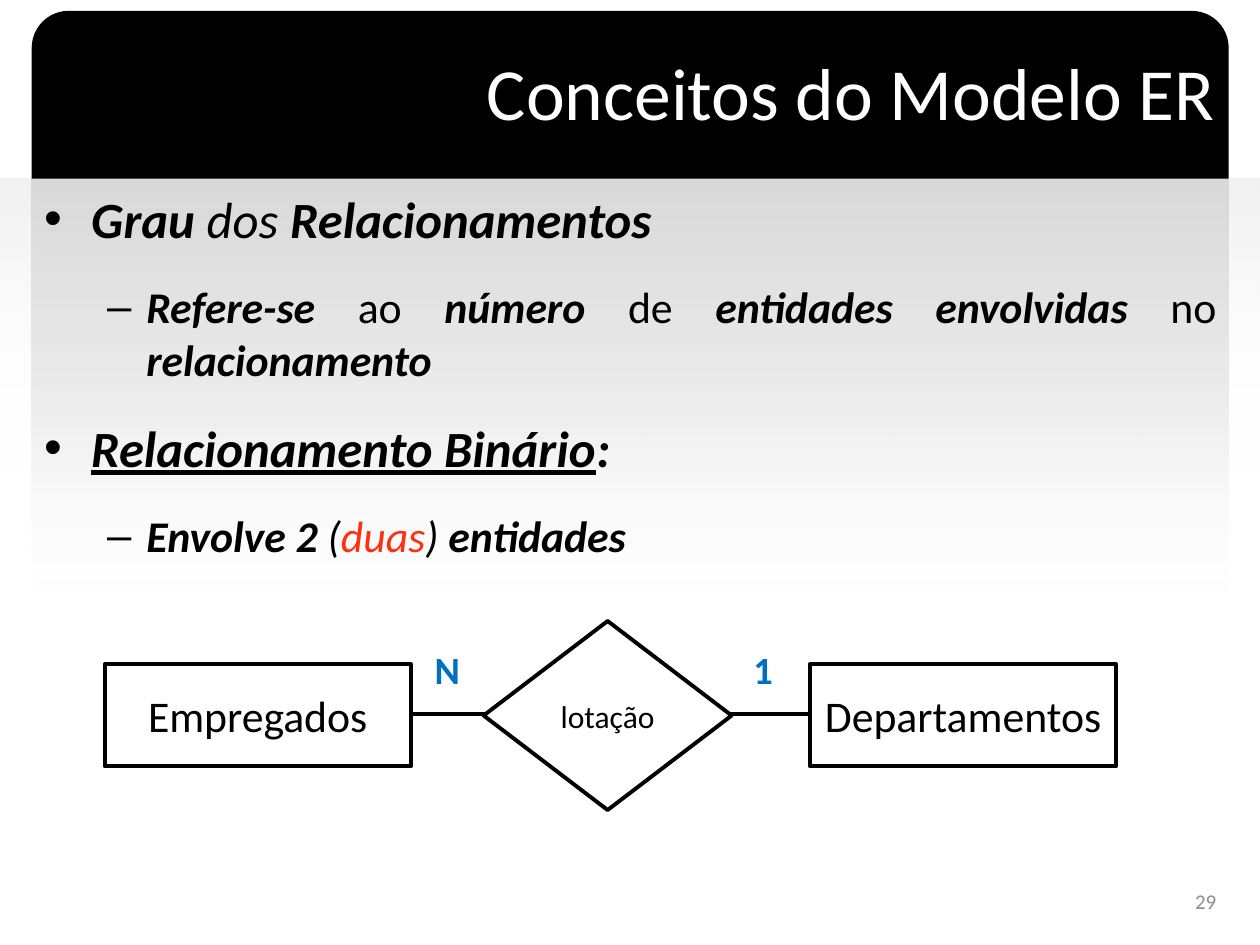
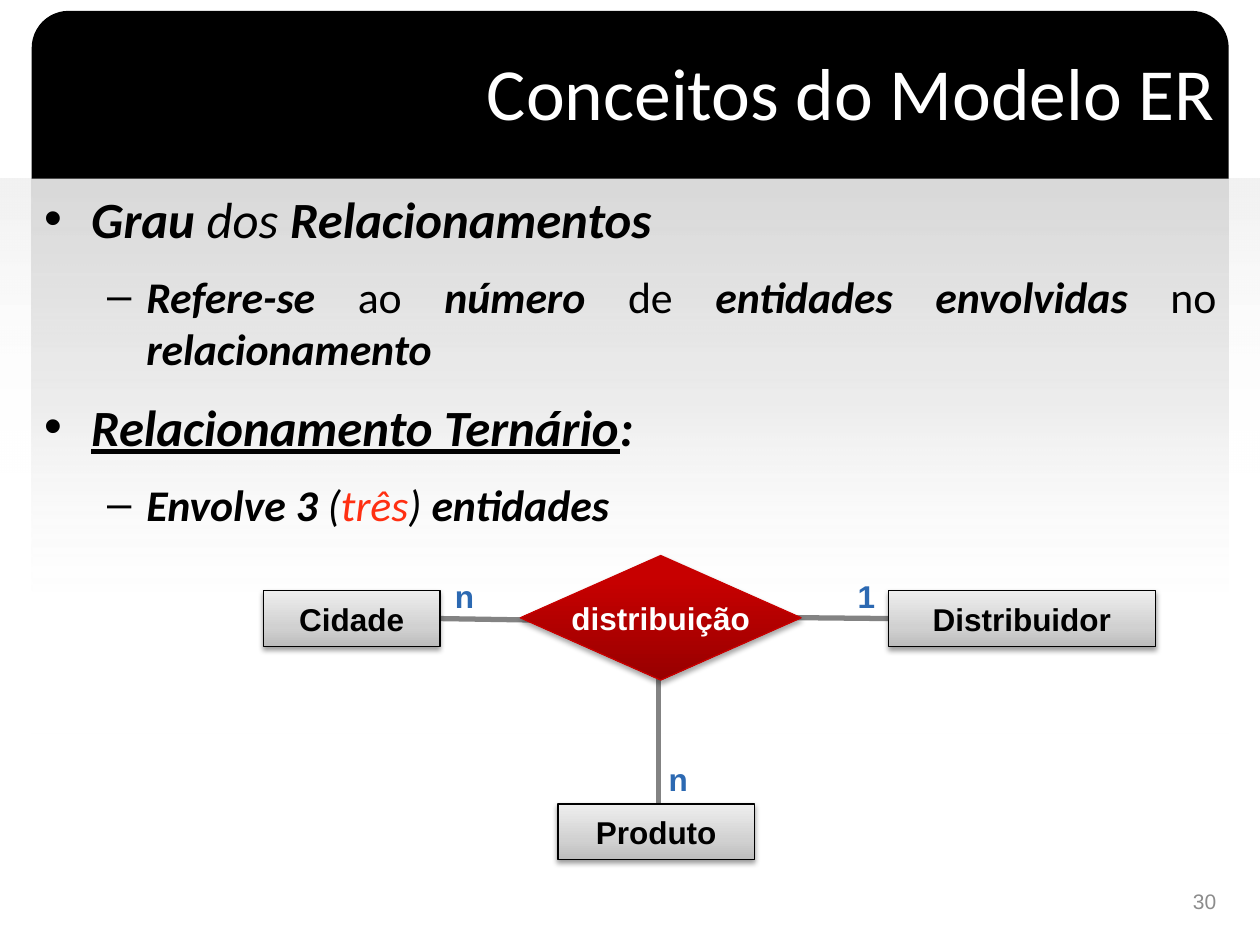
from typing import NamedTuple

from lxml.etree import SubElement
from pptx import Presentation
from pptx.dml.color import RGBColor
from pptx.enum.shapes import MSO_CONNECTOR, MSO_SHAPE as Form
from pptx.enum.text import MSO_ANCHOR as Anchor, PP_ALIGN as Align
from pptx.oxml.ns import qn
from pptx.util import Cm, Pt

BLACK, WHITE, GRAY, RED = "000000", "FFFFFF", "8C8C8C", "FF2F12"
SANS, ARIAL = "Calibri", "Arial"


class Area(NamedTuple):
    left: float
    top: float
    width: float
    height: float


class Stop(NamedTuple):
    pos: int
    color: str
    alpha: int = 100


class Shade(NamedTuple):
    """Outer shadow that falls straight down; lengths in points."""
    alpha: int
    blur: float
    dist: float


class Look(NamedTuple):
    """Format shared by the nodes of one kind."""
    fill: list[Stop] | str | None
    edge: str
    weight: float
    font: str
    size: int
    color: str = BLACK
    bold: bool = False
    shade: Shade | None = None


class Node(NamedTuple):
    text: str
    area: Area
    look: Look
    form: Form = Form.RECTANGLE


class Label(NamedTuple):
    text: str
    area: Area


class Link(NamedTuple):
    x1: float
    y1: float
    x2: float
    y2: float


class Run(NamedTuple):
    text: str
    bold: bool = True
    ital: bool = True
    under: bool = False
    color: str = BLACK


class Level(NamedTuple):
    mark: str
    left: float
    hang: float
    size: int


class Page(NamedTuple):
    number: int
    num_font: str
    after: int
    kind: str
    count: str
    word: str
    nodes: list[Node]
    labels: list[Label]
    links: list[Link]
    label_look: Look
    link_color: str
    link_weight: float


TOP = Level("•", 0.95, 0.95, 29)
SUB = Level("–", 2.06, 0.79, 25)

BAND = Area(0.64, 0.22, 24.13, 3.38)
TITLE = Area(0.64, 0.25, 24.1, 3.18)
BODY = Area(0.64, 3.66, 24.13, 13.74)
NUMBER = Area(18.85, 17.65, 5.92, 1.02)
WASHES = [
    (Area(0, 3.6, 25.4, 5.92), [Stop(0, "F2F2F2"), Stop(100, WHITE, 0)]),
    (Area(0.64, 3.6, 24.13, 11.23),
     [Stop(0, "D9D9D9"), Stop(40, "DFDFDF", 55), Stop(78, WHITE, 10), Stop(100, WHITE, 0)]),
]

PLAIN = Look(None, BLACK, 2.25, SANS, 25)
ROMB = PLAIN._replace(fill=WHITE, size=18)
SILVER = Look([Stop(0, "EEEEEE"), Stop(65, "D1D1D1"), Stop(100, "BDBDBD")], BLACK, 0.75,
              ARIAL, 18, bold=True, shade=Shade(38, 3.1, 1.6))
RUBY = Look([Stop(0, "C70000"), Stop(20, "C60000"), Stop(100, "980000")], "C80000", 0.75,
            ARIAL, 18, WHITE, True, Shade(35, 3.1, 1.8))
BLUE = Look(None, "", 0, SANS, 22, "0070C0", True)
NAVY = Look(None, "", 0, ARIAL, 18, "2C69B2", True)

ROW, HIGH, ROW2, HIGH2 = 13.39, 2.06, 11.91, 1.12

PAGES = [
    Page(29, SANS, 12, "Binário", "2", "duas",
         [Node("Empregados", Area(2.11, ROW, 6.17, HIGH), PLAIN),
          Node("Departamentos", Area(16.33, ROW, 6.17, HIGH), PLAIN),
          Node("lotação", Area(9.75, 12.52, 5, 3.81), ROMB, Form.DIAMOND)],
         [Label("N", Area(8.51, 12.9, 1.04, 1.19)), Label("1", Area(14.94, 12.9, 0.91, 1.19))],
         [Link(8.28, 14.4, 16.33, 14.4)],
         BLUE, BLACK, 2.25),
    Page(30, ARIAL, 6, "Ternário", "3", "três",
         [Node("Distribuidor", Area(17.91, ROW2, 5.38, HIGH2), SILVER),
          Node("Cidade", Area(5.31, ROW2, 3.56, HIGH2), SILVER),
          Node("Produto", Area(11.25, 16.21, 3.96, HIGH2), SILVER),
          Node("distribuição", Area(10.49, 11.2, 5.66, 2.51), RUBY, Form.DIAMOND)],
         [Label("1", Area(17.04, 11.51, 0.86, 1.02)), Label("n", Area(8.92, 11.51, 0.89, 1.02)),
          Label("n", Area(13.23, 15.19, 0.89, 1.02))],
         [Link(15.93, 12.45, 17.98, 12.47), Link(8.89, 12.47, 10.8, 12.5),
          Link(13.28, 13.56, 13.28, 16.36)],
         NAVY, "838383", 3),
]


def rgb(code: str) -> RGBColor:
    return RGBColor.from_string(code)


def place(area: Area) -> list[Cm]:
    return [Cm(side) for side in area]


def tint(parent, color: str, alpha: int) -> None:
    node = SubElement(parent, qn("a:srgbClr"), val=color)
    if alpha < 100:
        SubElement(node, qn("a:alpha"), val=str(alpha * 1000))


def blend(shape, stops: list[Stop]) -> None:
    """Fill a shape with a gradient that runs from top to bottom."""
    shape.fill.gradient()
    grad = shape._element.spPr.find(qn("a:gradFill"))
    for part in list(grad):
        grad.remove(part)
    row = SubElement(grad, qn("a:gsLst"))
    for stop in stops:
        tint(SubElement(row, qn("a:gs"), pos=str(stop.pos * 1000)), stop.color, stop.alpha)
    SubElement(grad, qn("a:lin"), ang="5400000", scaled="0")


def cast(shape, shade: Shade) -> None:
    glow = shape._element.spPr.find(qn("a:effectLst"))
    drop = SubElement(glow, qn("a:outerShdw"), blurRad=str(Pt(shade.blur)),
                      dist=str(Pt(shade.dist)), dir="5400000", rotWithShape="0")
    tint(drop, BLACK, shade.alpha)


def write(para, text: str, *, size: int, font: str = SANS, color: str = BLACK,
          bold: bool = False, ital: bool = False, under: bool = False) -> None:
    run = para.add_run()
    run.text = text
    face = run.font
    face.name, face.size, face.bold = font, Pt(size), bold
    face.italic, face.underline = ital, under
    face.color.rgb = rgb(color)


def add_box(slide, area: Area, anchor=Anchor.TOP, wrap: bool = True):
    frame = slide.shapes.add_textbox(*place(area)).text_frame
    frame.word_wrap, frame.vertical_anchor = wrap, anchor
    return frame


def add_line(slide, text: str, area: Area, **form) -> None:
    """Put one right-aligned line in the middle of its area."""
    para = add_box(slide, area, Anchor.MIDDLE).paragraphs[0]
    para.alignment = Align.RIGHT
    write(para, text, **form)


def add_form(slide, form: Form, area: Area, fill: list[Stop] | str | None):
    shape = slide.shapes.add_shape(form, *place(area))
    shape.shadow.inherit = False
    shape.line.fill.background()
    if fill is None:
        shape.fill.background()
    elif isinstance(fill, str):
        shape.fill.solid()
        shape.fill.fore_color.rgb = rgb(fill)
    else:
        blend(shape, fill)
    return shape


def add_node(slide, node: Node) -> None:
    look = node.look
    shape = add_form(slide, node.form, node.area, look.fill)
    shape.line.color.rgb = rgb(look.edge)
    shape.line.width = Pt(look.weight)
    if look.shade:
        cast(shape, look.shade)
    frame = shape.text_frame
    frame.word_wrap, frame.vertical_anchor = False, Anchor.MIDDLE
    para = frame.paragraphs[0]
    para.alignment = Align.CENTER
    write(para, node.text, size=look.size, font=look.font, color=look.color, bold=look.bold)


def add_label(slide, label: Label, look: Look) -> None:
    para = add_box(slide, label.area, wrap=False).paragraphs[0]
    write(para, label.text, size=look.size, font=look.font, color=look.color, bold=look.bold)


def add_link(slide, link: Link, color: str, weight: float) -> None:
    line = slide.shapes.add_connector(MSO_CONNECTOR.STRAIGHT, *[Cm(side) for side in link])
    line.line.color.rgb = rgb(color)
    line.line.width = Pt(weight)
    SubElement(line._element.spPr, qn("a:effectLst"))


def add_body(slide, page: Page) -> None:
    items = [
        (TOP, [Run("Grau "), Run("dos ", bold=False), Run("Relacionamentos")]),
        (SUB, [Run("Refere-se "), Run("ao ", False, False), Run("número "),
               Run("de ", False, False), Run("entidades envolvidas "),
               Run("no ", False, False), Run("relacionamento")]),
        (TOP, [Run(f"Relacionamento {page.kind}", under=True), Run(":")]),
        (SUB, [Run(f"Envolve {page.count} "), Run("(", bold=False),
               Run(page.word, bold=False, color=RED), Run(") ", bold=False),
               Run("entidades")]),
    ]
    frame = add_box(slide, BODY)
    for index, (level, runs) in enumerate(items):
        para = frame.add_paragraph() if index else frame.paragraphs[0]
        para.alignment = Align.JUSTIFY
        para.space_before = Pt(6 if index else 0)
        para.space_after = Pt(page.after)
        props = para._p.get_or_add_pPr()
        props.set("marL", str(Cm(level.left)))
        props.set("indent", str(-Cm(level.hang)))
        SubElement(props, qn("a:buFont"), typeface=ARIAL)
        SubElement(props, qn("a:buChar"), char=level.mark)
        for run in runs:
            write(para, run.text, size=level.size, color=run.color, bold=run.bold,
                  ital=run.ital, under=run.under)


def add_frame(slide, page: Page) -> None:
    """Draw the washes, title band and page number that every slide has."""
    for area, stops in WASHES:
        add_form(slide, Form.RECTANGLE, area, stops)
    band = add_form(slide, Form.ROUND_2_SAME_RECTANGLE, BAND, BLACK)
    band.adjustments[0], band.adjustments[1] = 0.22, 0
    add_line(slide, "Conceitos do Modelo ER", TITLE, size=42, color=WHITE)
    add_line(slide, str(page.number), NUMBER, size=12, font=page.num_font, color=GRAY)


def main() -> None:
    deck = Presentation()
    deck.slide_width, deck.slide_height = Cm(25.4), Cm(19.05)
    for page in PAGES:
        slide = deck.slides.add_slide(deck.slide_layouts[6])
        add_frame(slide, page)
        add_body(slide, page)
        for link in page.links:
            add_link(slide, link, page.link_color, page.link_weight)
        for label in page.labels:
            add_label(slide, label, page.label_look)
        for node in page.nodes:
            add_node(slide, node)
    deck.save("out.pptx")


if __name__ == "__main__":
    main()
